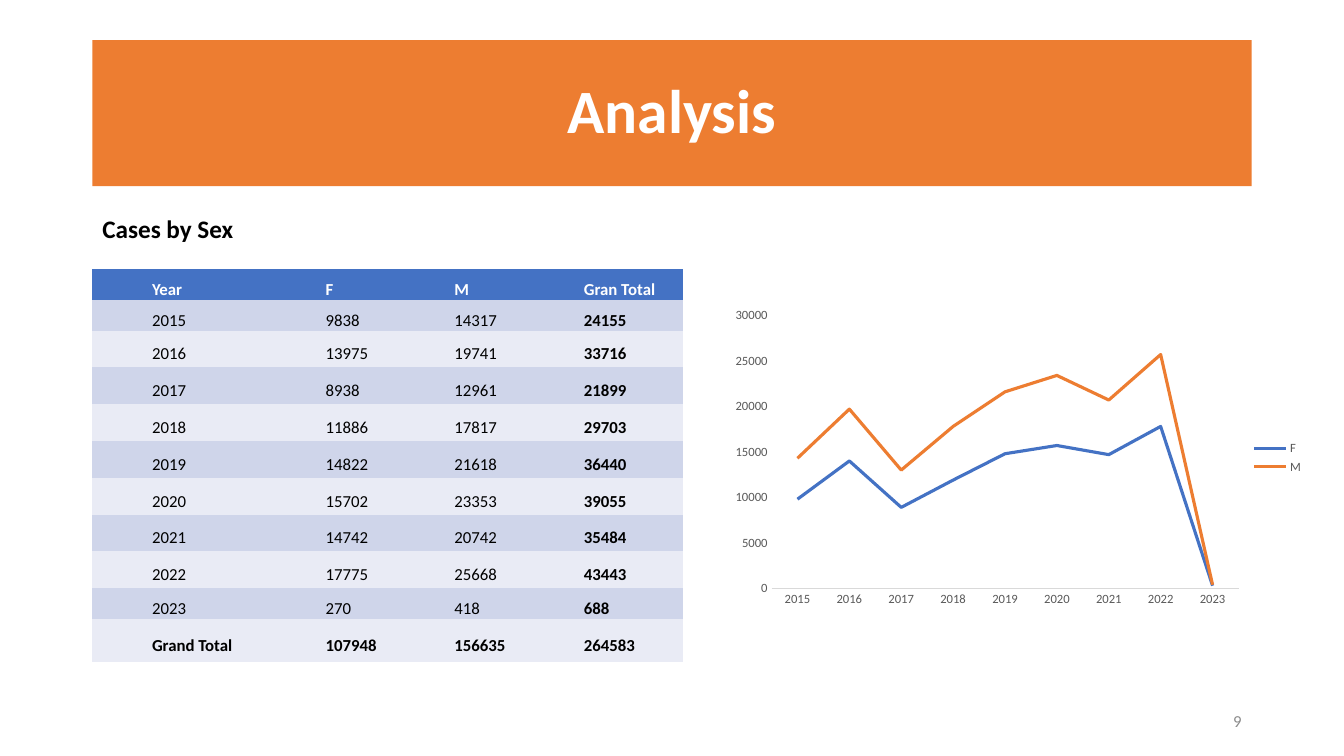
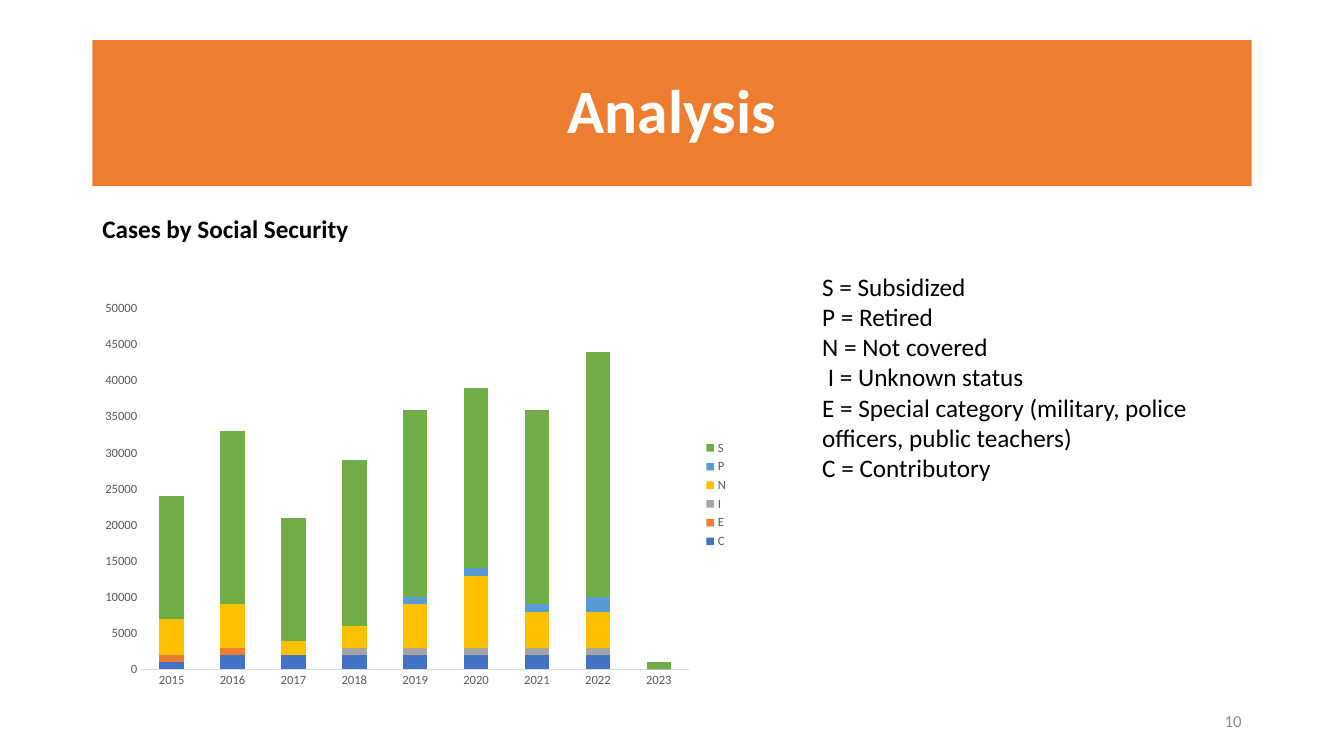
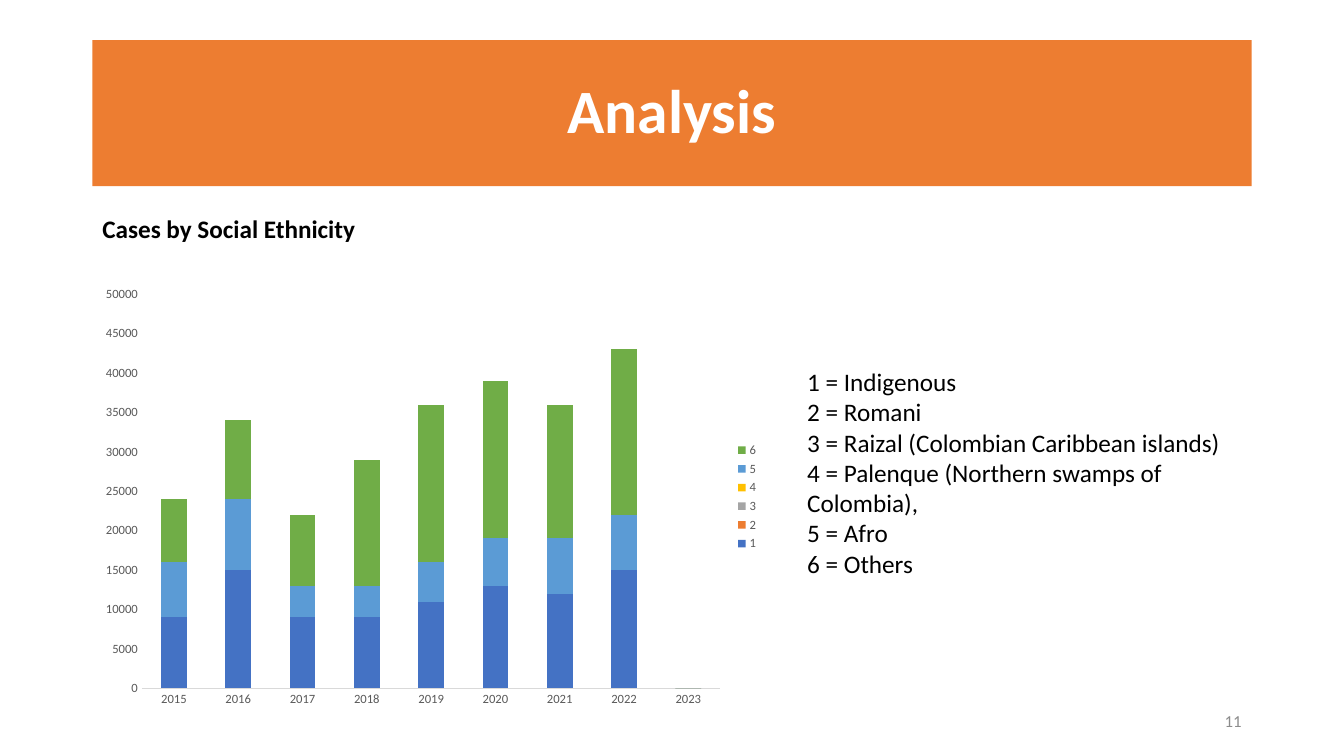
from dataclasses import dataclass
from typing import NamedTuple

from pptx import Presentation
from pptx.chart.data import CategoryChartData
from pptx.dml.color import RGBColor as Color
from pptx.enum.chart import XL_CHART_TYPE as ChartType
from pptx.enum.chart import XL_LEGEND_POSITION as LegendPosition
from pptx.enum.chart import XL_TICK_MARK as TickMark
from pptx.enum.text import MSO_ANCHOR as Anchor
from pptx.enum.text import PP_ALIGN as Align
from pptx.util import Pt


def rgb(code):
    return Color.from_string(code)


@dataclass(frozen=True)
class Theme:
    font: str = "Calibri"
    band: Color = rgb("ED7D31")
    white: Color = rgb("FFFFFF")
    ink: Color = rgb("000000")
    page_number: Color = rgb("8C8C8C")
    axis_text: Color = rgb("595959")
    axis_line: Color = rgb("D9D9D9")
    table_head: Color = rgb("4472C4")
    table_rows: tuple = (rgb("CFD5EA"), rgb("E9EBF5"))
    series: tuple = tuple(map(rgb, ("4472C4", "ED7D31", "A5A5A5",
                                    "FFC000", "5B9BD5", "70AD47")))
    title_size: float = 44
    body_size: float = 18
    small_size: float = 12
    chart_size: float = 10
    axis_size: float = 9


class Box(NamedTuple):
    left: float
    top: float
    width: float
    height: float

    def points(self):
        return [Pt(value) for value in self]


THEME = Theme()
PAGE = Box(0, 0, 960, 540)
MARGIN = 66
TITLE = Box(MARGIN, 28.6, PAGE.width - 2 * MARGIN, 104.4)
FIRST_PAGE = 9
NO_TABLE_STYLE = "{2D5ABB26-0587-4C30-8999-92F81FD0307C}"

YEARS = [str(year) for year in range(2015, 2024)]
CASES_BY_SEX = {
    "F": [9838, 13975, 8938, 11886, 14822, 15702, 14742, 17775, 270],
    "M": [14317, 19741, 12961, 17817, 21618, 23353, 20742, 25668, 418],
}
# Stacked charts, in thousands of cases
CASES_BY_SECURITY = {
    "C": [1, 2, 2, 2, 2, 2, 2, 2, 0],
    "E": [1, 1, 0, 0, 0, 0, None, None, None],
    "I": [0, 0, 0, 1, 1, 1, 1, 1, 0],
    "N": [5, 6, 2, 3, 6, 10, 5, 5, 0],
    "P": [0, 0, 0, 0, 1, 1, 1, 2, 0],
    "S": [17, 24, 17, 23, 26, 25, 27, 34, 1],
}
CASES_BY_ETHNICITY = {
    "1": [9, 15, 9, 9, 11, 13, 12, 15, 0],
    "2": [0] * 9,
    "3": [0] * 9,
    "4": [0] * 8 + [None],
    "5": [7, 9, 4, 4, 5, 6, 7, 7, 0],
    "6": [8, 10, 9, 16, 20, 20, 17, 21, 0],
}
SECURITY_KEY = [
    "S = Subsidized",
    "P = Retired",
    "N = Not covered",
    " I = Unknown status",
    "E = Special category (military, police officers, public teachers)",
    "C = Contributory",
]
ETHNICITY_KEY = [
    "1 = Indigenous",
    "2 = Romani",
    "3 = Raizal (Colombian Caribbean islands)",
    "4 = Palenque (Northern swamps of Colombia),",
    "5 = Afro",
    "6 = Others",
]


def style_font(font, size, color, bold=False):
    font.name = THEME.font
    font.size = Pt(size)
    font.bold = bold
    font.color.rgb = color


def add_run(paragraph, text, size, color, bold=False):
    run = paragraph.add_run()
    run.text = text
    style_font(run.font, size, color, bold)


def add_lines(slide, box, lines, size, color, bold=False):
    """Add a wrapping text box with one paragraph per line."""
    frame = slide.shapes.add_textbox(*box.points()).text_frame
    frame.word_wrap = True
    for index, line in enumerate(lines):
        paragraph = frame.add_paragraph() if index else frame.paragraphs[0]
        add_run(paragraph, line, size, color, bold)
    return frame


def add_analysis_slide(presentation, subtitle):
    """Start a slide with the title band, subtitle and page number."""
    slide = presentation.slides.add_slide(presentation.slide_layouts[5])

    # Title band
    title = slide.shapes.title
    title.left, title.top, title.width, title.height = TITLE.points()
    title.fill.solid()
    title.fill.fore_color.rgb = THEME.band
    title.text_frame.vertical_anchor = Anchor.MIDDLE
    paragraph = title.text_frame.paragraphs[0]
    paragraph.alignment = Align.CENTER
    paragraph.line_spacing = 0.9
    add_run(paragraph, "Analysis", THEME.title_size, THEME.white, bold=True)

    # Subtitle
    frame = add_lines(slide, Box(MARGIN, 146.9, 250, 35.3), [subtitle],
                      THEME.body_size, THEME.ink, bold=True)
    frame.paragraphs[0].line_spacing = 1.1
    frame.paragraphs[0].space_before = Pt(10)

    # Page number
    page = FIRST_PAGE + len(presentation.slides) - 1
    frame = add_lines(slide, Box(678, 500.5, 216, 28.8), [str(page)],
                      THEME.small_size, THEME.page_number)
    frame.vertical_anchor = Anchor.MIDDLE
    frame.paragraphs[0].alignment = Align.RIGHT
    return slide


def fill_cell(cell, text, fill, color, bold):
    cell.fill.solid()
    cell.fill.fore_color.rgb = fill
    cell.vertical_anchor = Anchor.MIDDLE
    cell.margin_left = cell.margin_right = 0
    cell.margin_top = cell.margin_bottom = 0
    paragraph = cell.text_frame.paragraphs[0]
    paragraph.line_spacing = 1.5
    paragraph.space_after = Pt(7.1)
    properties = paragraph._p.get_or_add_pPr()
    properties.set("marL", str(Pt(35.4)))
    properties.set("indent", str(Pt(7.2)))
    add_run(paragraph, text, THEME.small_size, color, bold)


def add_sex_table(slide, box):
    """Add the yearly table, with totals worked out from the series."""
    women, men = CASES_BY_SEX.values()
    rows = [("Year", "F", "M", "Gran Total")]
    rows += [(year, f, m, f + m) for year, f, m in zip(YEARS, women, men)]
    rows.append(("Grand Total", sum(women), sum(men), sum(women + men)))
    last = len(rows) - 1

    frame = slide.shapes.add_table(len(rows), len(rows[0]), *box.points())
    table = frame.table
    table._tbl.tblPr.find("{*}tableStyleId").text = NO_TABLE_STYLE
    for column, width in zip(table.columns, (124, 92, 92.5, 113.5)):
        column.width = Pt(width)
    for row, height in zip(table.rows, [22, 22] + [26.3] * 7 + [22, 31]):
        row.height = Pt(height)

    for row_index, row in enumerate(rows):
        head = row_index == 0
        fill = THEME.table_head if head else THEME.table_rows[(row_index - 1) % 2]
        color = THEME.white if head else THEME.ink
        for column_index, value in enumerate(row):
            bold = row_index in (0, last) or column_index == 3
            fill_cell(table.cell(row_index, column_index), str(value),
                      fill, color, bold)


def add_case_chart(slide, box, kind, series_values):
    """Add a chart of cases per year with a legend on the right."""
    data = CategoryChartData()
    data.categories = YEARS
    for name, values in series_values.items():
        data.add_series(name, values)
    chart = slide.shapes.add_chart(kind, *box.points(), data).chart
    chart.has_title = False
    style_font(chart.font, THEME.chart_size, THEME.ink)

    # Legend
    chart.has_legend = True
    chart.legend.position = LegendPosition.RIGHT
    chart.legend.include_in_layout = False
    style_font(chart.legend.font, THEME.axis_size, THEME.axis_text)

    # Axes
    for axis in (chart.category_axis, chart.value_axis):
        axis.has_major_gridlines = False
        axis.major_tick_mark = axis.minor_tick_mark = TickMark.NONE
        style_font(axis.tick_labels.font, THEME.axis_size, THEME.axis_text)
    chart.category_axis.format.line.color.rgb = THEME.axis_line
    chart.category_axis.format.line.width = Pt(0.75)
    chart.value_axis.format.line.fill.background()

    # Series
    plot = chart.plots[0]
    plot.vary_by_categories = False
    is_line = kind == ChartType.LINE
    if not is_line:
        plot.gap_width = 150
        plot.overlap = 100
    for series, color in zip(plot.series, THEME.series):
        if is_line:
            series.smooth = False
            series.format.line.color.rgb = color
            series.format.line.width = Pt(2.25)
        else:
            series.format.fill.solid()
            series.format.fill.fore_color.rgb = color


def add_sex_slide(presentation):
    slide = add_analysis_slide(presentation, "Cases by Sex")
    add_sex_table(slide, Box(MARGIN, 192.2, 422, 276))
    hundreds = {name: [round(value, -2) for value in values]
                for name, values in CASES_BY_SEX.items()}
    add_case_chart(slide, Box(517, 215.6, 421.2, 222.5),
                   ChartType.LINE, hundreds)


def add_stacked_slide(presentation, subtitle, chart_box, thousands, key_box, key):
    slide = add_analysis_slide(presentation, subtitle)
    cases = {name: [None if value is None else value * 1000 for value in values]
             for name, values in thousands.items()}
    add_case_chart(slide, chart_box, ChartType.COLUMN_STACKED, cases)
    add_lines(slide, key_box, key, THEME.body_size, THEME.ink)


def main():
    presentation = Presentation()
    presentation.slide_width = Pt(PAGE.width)
    presentation.slide_height = Pt(PAGE.height)
    add_sex_slide(presentation)
    add_stacked_slide(presentation, "Cases by Social Security",
                      Box(MARGIN, 209.3, 461.5, 288), CASES_BY_SECURITY,
                      Box(580.2, 190, 324.7, 160), SECURITY_KEY)
    add_stacked_slide(presentation, "Cases by Social Ethnicity",
                      Box(MARGIN, 198.7, 483, 312.5), CASES_BY_ETHNICITY,
                      Box(569.5, 258.2, 324.7, 160), ETHNICITY_KEY)
    presentation.save("out.pptx")


if __name__ == "__main__":
    main()
